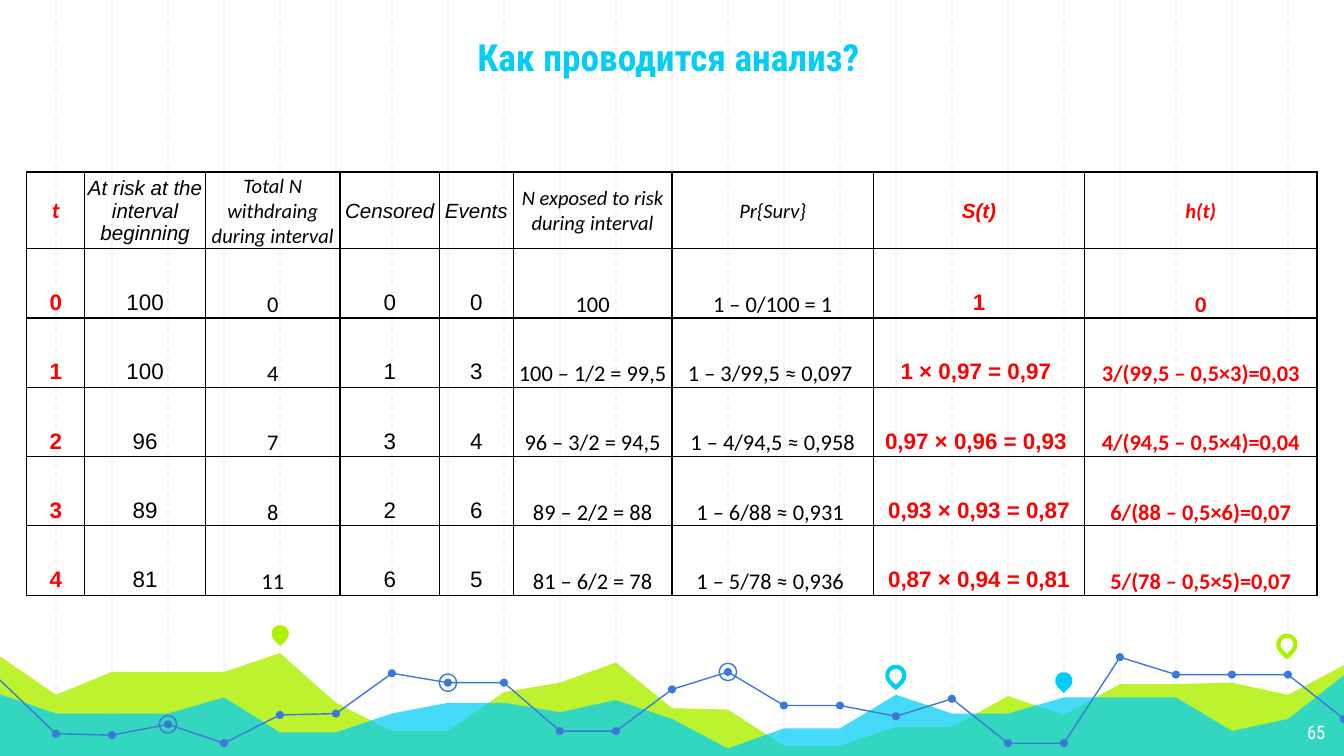
import pptx
import pptx.dml.color
import pptx.enum.dml
import pptx.enum.shapes
import pptx.enum.text
import pptx.oxml
import pptx.oxml.ns
import pptx.util
from pptx.util import Inches

RGBColor = pptx.dml.color.RGBColor
Shape = pptx.enum.shapes.MSO_SHAPE
Align = pptx.enum.text.PP_ALIGN
Anchor = pptx.enum.text.MSO_ANCHOR

BLACK = RGBColor(0x00, 0x00, 0x00)
WHITE = RGBColor(0xFF, 0xFF, 0xFF)
RED = RGBColor(0xFF, 0x00, 0x00)
GRAY = RGBColor(0xF3, 0xF3, 0xF3)
LIME = RGBColor(0xAF, 0xF0, 0x00)
CYAN = RGBColor(0x00, 0xCE, 0xF6)
BLUE = RGBColor(0x3C, 0x78, 0xD8)

HEAD_FONT = "Roboto Condensed"
STEPS = 24
STEP = 10 / STEPS
BASE = 5.64

GREEN_WAVE = [4.87, 5.17, 5, 5, 5, 4.86, 5.23, 5.44, 5.44, 5.15, 5.08, 4.93, 5.27,
              5.28, 5.55, 5.55, 5.41, 5.41, 5.18, 5.32, 5.09, 5.09, 5.08, 5.17, 4.94]
CYAN_WAVE = [5.16, 5.31, 5.31, 5.31, 5.19, 5.45, 5.45, 5.31, 5.23, 5.23, 5.3, 5.21, 5.35,
             5.57, 5.42, 5.42, 5.17, 5.31, 5.31, 5.19, 5.19, 5.19, 5.44, 5.35, 5.01]
TREND = [5.06, 5.46, 5.47, 5.39, 5.53, 5.32, 5.31, 5.01, 5.08, 5.08, 5.44, 5.44, 5.13,
         5, 5.25, 5.25, 5.33, 5.2, 5.53, 5.53, 4.89, 5.02, 5.02, 5.02, 5.35]
RINGS = [3, 8, 13]
PINS = [(2.02, 4.65, LIME, True), (6.6, 4.96, CYAN, False),
        (7.85, 5, CYAN, True), (9.51, 4.73, LIME, False)]

WIDTHS = [0.43, 0.9, 1, 0.74, 0.55, 1.18, 1.5, 1.57, 1.73]
TALL = 3.15
HEAD = 0.57
ROWS = [
    ["t", "At risk at the interval beginning", "Total N withdraing during interval", "Censored",
     "Events", "N exposed to risk\nduring interval", "Pr{Surv}", "S(t)", "h(t)"],
    ["0", "100", "0", "0", "0", "100", "1 – 0/100 = 1", "1", "0"],
    ["1", "100", "4", "1", "3", "100 – 1/2 = 99,5", "1 – 3/99,5 ≈ 0,097 ",
     "1 × 0,97 = 0,97 ", "3/(99,5 – 0,5×3)=0,03"],
    ["2", "96", "7", "3", "4", "96 – 3/2 = 94,5", "1 – 4/94,5 ≈ 0,958",
     "0,97 × 0,96 = 0,93 ", "4/(94,5 – 0,5×4)=0,04"],
    ["3", "89", "8", "2", "6", "89 – 2/2 = 88", "1 – 6/88 ≈ 0,931 ",
     "0,93 × 0,93 = 0,87", "6/(88 – 0,5×6)=0,07"],
    ["4", "81", "11", "6", "5", "81 – 6/2 = 78", "1 – 5/78 ≈ 0,936 ",
     "0,87 × 0,94 = 0,81", "5/(78 – 0,5×5)=0,07"],
]
CALIBRI_COLS = {2, 5, 6, 8}
RED_COLS = {0, 7, 8}


def write(frame, text, size=12, font="Arial", color=BLACK, bold=False, italic=False,
          align=Align.CENTER, space=1.0):
    frame.word_wrap = True
    for i, line in enumerate(text.split("\n")):
        para = frame.add_paragraph() if i else frame.paragraphs[0]
        para.alignment = align
        para.line_spacing = space
        run = para.add_run()
        run.text = line
        run.font.size = pptx.util.Pt(size)
        run.font.name = font
        run.font.color.rgb = color
        run.font.bold = bold
        run.font.italic = italic


def pad(frame, size=0.1):
    frame.margin_left = frame.margin_right = Inches(size)
    frame.margin_top = frame.margin_bottom = Inches(size)


class Deck:
    def __init__(self):
        self.prs = pptx.Presentation()
        self.prs.slide_width = Inches(10)
        self.prs.slide_height = Inches(10) * 9 // 16
        self.slide = self.prs.slides.add_slide(self.prs.slide_layouts[5])
        self.shapes = self.slide.shapes

    def paint(self, shape, fill=None, line=None, width=0.75):
        shape.shadow.inherit = False
        if fill is None:
            shape.fill.background()
        else:
            shape.fill.solid()
            shape.fill.fore_color.rgb = fill
        if line is None:
            shape.line.fill.background()
        else:
            shape.line.color.rgb = line
            shape.line.width = pptx.util.Pt(width)

    def rule(self, x, dash):
        line = self.shapes.add_connector(pptx.enum.shapes.MSO_CONNECTOR.STRAIGHT,
                                         Inches(x), 0, Inches(x), Inches(5.65))
        line.line.color.rgb = GRAY
        line.line.width = pptx.util.Pt(0.75)
        if dash:
            line.line.dash_style = pptx.enum.dml.MSO_LINE.DASH
        line._element.spPr.append(pptx.oxml.parse_xml(
            f'<a:effectLst {pptx.oxml.ns.nsdecls("a")}/>'))

    def trace(self, points, close):
        spots = [(Inches(x), Inches(y)) for x, y in points]
        build = self.shapes.build_freeform(*spots[0])
        build.add_line_segments(spots[1:], close=close)
        return build.convert_to_shape()

    def wave(self, tops, color, alpha):
        points = [(i * STEP, y) for i, y in enumerate(tops)]
        points[0] = (-0.02, tops[0])
        points[-1] = (10.02, tops[-1])
        shape = self.trace(points + [(10.02, BASE), (-0.03, BASE)], True)
        self.paint(shape, fill=color)
        tint = shape._element.spPr.find(".//" + pptx.oxml.ns.qn("a:srgbClr"))
        tint.append(pptx.oxml.parse_xml(
            f'<a:alpha {pptx.oxml.ns.nsdecls("a")} val="{alpha * 1000}"/>'))

    def trend(self, first, last):
        points = [(i * STEP, TREND[i]) for i in range(first, last + 1)]
        self.paint(self.trace(points, False), line=BLUE)

    def mark(self, kind, x, y, size, **look):
        shape = self.shapes.add_shape(kind, Inches(x), Inches(y), Inches(size), Inches(size))
        self.paint(shape, **look)
        return shape

    def dot(self, i, size, **look):
        self.mark(Shape.OVAL, i * STEP - size / 2, TREND[i] - size / 2, size, **look)

    def pin(self, x, y, color, solid):
        look = {"fill": color} if solid else {"line": color, "width": 2.25}
        self.mark(Shape.TEAR, x, y, 0.13, **look).rotation = 135

    def title(self, text):
        box = self.shapes.title
        box.left, box.top, box.width, box.height = map(Inches, (1.15, 0.06, 7.65, 0.63))
        pad(box.text_frame)
        box.text_frame.vertical_anchor = Anchor.BOTTOM
        write(box.text_frame, text, size=20, font=HEAD_FONT, color=CYAN, bold=True)
        self.shapes._spTree.append(box._element)

    def number(self, text):
        box = self.shapes.add_textbox(*map(Inches, (9.36, 5.28, 0.6, 0.35)))
        pad(box.text_frame)
        write(box.text_frame, text, size=10, font=HEAD_FONT, color=WHITE, align=Align.RIGHT)

    def border(self, cell):
        props = cell._tc.get_or_add_tcPr()
        for side in ("lnL", "lnR", "lnT", "lnB"):
            props.append(pptx.oxml.parse_xml(
                f'<a:{side} {pptx.oxml.ns.nsdecls("a")} w="9525"><a:solidFill>'
                f'<a:srgbClr val="{BLACK}"/></a:solidFill></a:{side}>'))

    def table(self, left, top):
        frame = self.shapes.add_table(len(ROWS), len(WIDTHS), Inches(left), Inches(top),
                                      Inches(sum(WIDTHS)), Inches(TALL))
        grid = frame.table
        grid.first_row = grid.horz_banding = False
        for col, width in zip(grid.columns, WIDTHS):
            col.width = Inches(width)
        for r, texts in enumerate(ROWS):
            grid.rows[r].height = Inches((TALL - HEAD) / (len(ROWS) - 1) if r else HEAD)
            for c, text in enumerate(texts):
                self.cell(grid.cell(r, c), text, r == 0, c)

    def cell(self, cell, text, head, col):
        self.border(cell)
        cell.fill.background()
        cell.margin_left = cell.margin_right = cell.margin_top = Inches(0.01)
        cell.margin_bottom = 0
        cell.vertical_anchor = Anchor.MIDDLE
        red = col in RED_COLS
        plain = col in CALIBRI_COLS or (head and col == 0)
        write(cell.text_frame, text, size=11 if head and col else 12,
              font="Calibri" if plain else "Arial", color=RED if red else BLACK,
              bold=red, italic=head, space=1.0 if head else 2.5)


def main():
    deck = Deck()
    for i in range(1, STEPS):
        deck.rule(i * STEP, dash=i % 2 == 1)
    deck.wave(GREEN_WAVE, LIME, 82)
    deck.wave(CYAN_WAVE, CYAN, 73)
    for pin in PINS:
        deck.pin(*pin)
    for first, last in [(0, 11), (11, 20), (20, 24)]:
        deck.trend(first, last)
    for i in range(1, STEPS + 1):
        deck.dot(i, 0.06, fill=BLUE)
    for i in RINGS:
        deck.dot(i, 0.13, line=BLUE)
    deck.title("Как проводится анализ?")
    deck.number("65")
    deck.table(0.2, 1.28)
    deck.prs.save("out.pptx")


if __name__ == "__main__":
    main()
